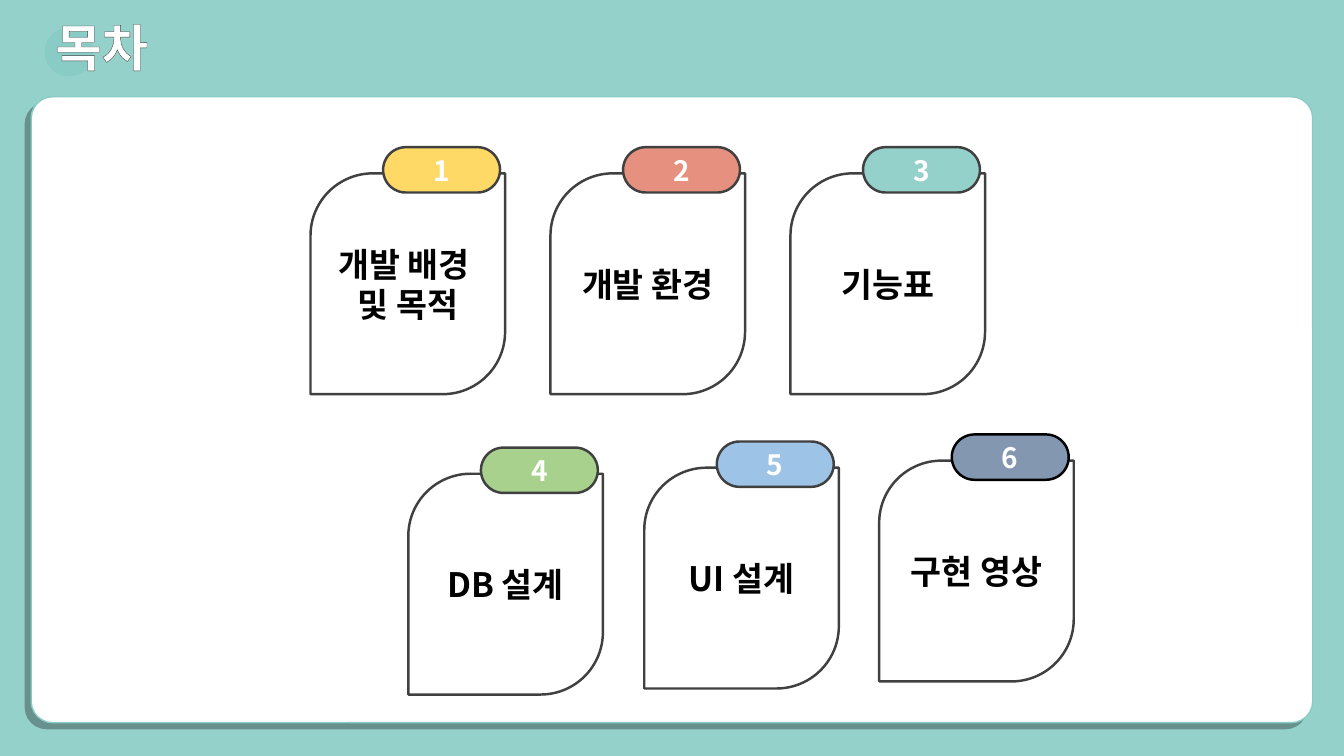
import dataclasses
import typing

import lxml.etree
import pptx
import pptx.dml.color
import pptx.enum.shapes
import pptx.enum.text
import pptx.oxml
import pptx.oxml.ns
import pptx.util

EMU_PER_PX = 9144  # 100 px to the inch
SHAPES = pptx.enum.shapes.MSO_SHAPE
CENTER = pptx.enum.text.PP_ALIGN.CENTER


@dataclasses.dataclass(frozen=True)
class Theme:
    font: str = "Noto Sans CJK KR"
    mint: str = "95D1CB"
    deep_mint: str = "89CCC5"
    white: str = "FFFFFF"
    black: str = "000000"
    outline: str = "404040"
    title_size: int = 36
    topic_size: int = 24
    number_size: int = 20
    thin_line: float = 1
    card_line: float = 1.75


class Box(typing.NamedTuple):
    left: int
    top: int
    width: int
    height: int

    def emu(self) -> list[int]:
        return [px * EMU_PER_PX for px in self]


@dataclasses.dataclass(frozen=True)
class Card:
    left: int
    top: int
    lines: tuple[str, ...]
    tab_fill: str
    tab_line: str


THEME = Theme()
CARD_WIDTH, CARD_HEIGHT = 193, 219
TAB_WIDTH, TAB_HEIGHT = 116, 45
TAB_SHIFT, TAB_RISE = 72, 26

CARDS = (
    Card(308, 172, ("개발 배경 ", "및 목적"), "FFD966", THEME.outline),
    Card(546, 172, ("개발 환경",), "E6907F", THEME.outline),
    Card(784, 172, ("기능표",), THEME.mint, THEME.outline),
    Card(405, 470, ("DB 설계",), "A9D18E", THEME.outline),
    Card(639, 464, ("UI 설계",), "9DC3E6", THEME.outline),
    Card(872, 457, ("구현 영상",), "8497B0", THEME.black),
)


def rgb(value: str) -> pptx.dml.color.RGBColor:
    return pptx.dml.color.RGBColor.from_string(value)


def apply(target: typing.Any, formats: dict[str, typing.Any]) -> None:
    for name, value in formats.items():
        setattr(target, name, value)


def add_block(page, kind, box: Box, fill: str, line: str, weight: float,
              adjustments: tuple[float, ...] = ()):
    shape = page.shapes.add_shape(kind, *box.emu())
    shape.shadow.inherit = False
    shape.fill.solid()
    shape.fill.fore_color.rgb = rgb(fill)
    shape.line.color.rgb = rgb(line)
    shape.line.width = pptx.util.Pt(weight)
    for index, value in enumerate(adjustments):
        shape.adjustments[index] = value
    return shape


def add_span(para, text: str, size: int, color: str):
    span = para.add_run()
    span.text = text
    apply(span.font, {"name": THEME.font, "size": pptx.util.Pt(size), "bold": True})
    span.font.color.rgb = rgb(color)
    east_asian = lxml.etree.SubElement(span.font._element, pptx.oxml.ns.qn("a:ea"))
    east_asian.set("typeface", THEME.font)
    return span


def write_centred(shape, lines: tuple[str, ...], size: int, color: str) -> None:
    frame = shape.text_frame
    apply(frame, {
        "word_wrap": True,
        "vertical_anchor": pptx.enum.text.MSO_ANCHOR.MIDDLE,
        "margin_left": 0, "margin_top": 0, "margin_right": 0, "margin_bottom": 0,
    })
    for index, text in enumerate(lines):
        para = frame.add_paragraph() if index else frame.paragraphs[0]
        para.alignment = CENTER
        add_span(para, text, size, color)


def add_panel(page) -> None:
    """White panel with a hard shadow to the lower left."""
    panel = add_block(page, SHAPES.ROUNDED_RECTANGLE, Box(31, 96, 1271, 621),
                      THEME.white, THEME.deep_mint, THEME.thin_line, (0.034,))
    effects = panel._element.spPr.find(pptx.oxml.ns.qn("a:effectLst"))
    effects.append(pptx.oxml.parse_xml(
        f'<a:outerShdw {pptx.oxml.ns.nsdecls("a")} blurRad="0" dist="{pptx.util.Pt(6)}" '
        f'dir="{135 * 60000}" algn="tr" rotWithShape="0">'
        f'<a:srgbClr val="{THEME.black}"><a:alpha val="30000"/></a:srgbClr></a:outerShdw>'))


def add_title(page) -> None:
    title = page.shapes.add_textbox(*Box(45, 11, 775, 71).emu())
    frame = title.text_frame
    apply(frame, {"word_wrap": True,
                  "auto_size": pptx.enum.text.MSO_AUTO_SIZE.SHAPE_TO_FIT_TEXT})
    span = add_span(frame.paragraphs[0], "목차", THEME.title_size, THEME.white)
    span.font._element.insert(0, pptx.oxml.parse_xml(
        f'<a:ln {pptx.oxml.ns.nsdecls("a")} w="{pptx.util.Pt(0.75)}"><a:solidFill>'
        f'<a:srgbClr val="{THEME.outline}"/></a:solidFill></a:ln>'))


def add_card(page, number: int, card: Card) -> None:
    body = add_block(page, SHAPES.ROUND_2_DIAG_RECTANGLE,
                     Box(card.left, card.top, CARD_WIDTH, CARD_HEIGHT),
                     THEME.white, THEME.outline, THEME.card_line, (0.32, 0))
    write_centred(body, card.lines, THEME.topic_size, THEME.black)
    tab = add_block(page, SHAPES.ROUNDED_RECTANGLE,
                    Box(card.left + TAB_SHIFT, card.top - TAB_RISE, TAB_WIDTH, TAB_HEIGHT),
                    card.tab_fill, card.tab_line, THEME.card_line, (0.5,))
    write_centred(tab, (str(number),), THEME.number_size, THEME.white)


def main() -> None:
    deck = pptx.Presentation()
    apply(deck, {"slide_width": 1333 * EMU_PER_PX, "slide_height": 750 * EMU_PER_PX})
    page = deck.slides.add_slide(deck.slide_layouts[6])
    page.background.fill.solid()
    page.background.fill.fore_color.rgb = rgb(THEME.mint)

    add_block(page, SHAPES.OVAL, Box(45, 28, 47, 47),
              THEME.deep_mint, THEME.deep_mint, THEME.thin_line)
    add_panel(page)
    add_title(page)
    for number, card in enumerate(CARDS, start=1):
        add_card(page, number, card)
    deck.save("out.pptx")


if __name__ == "__main__":
    main()
